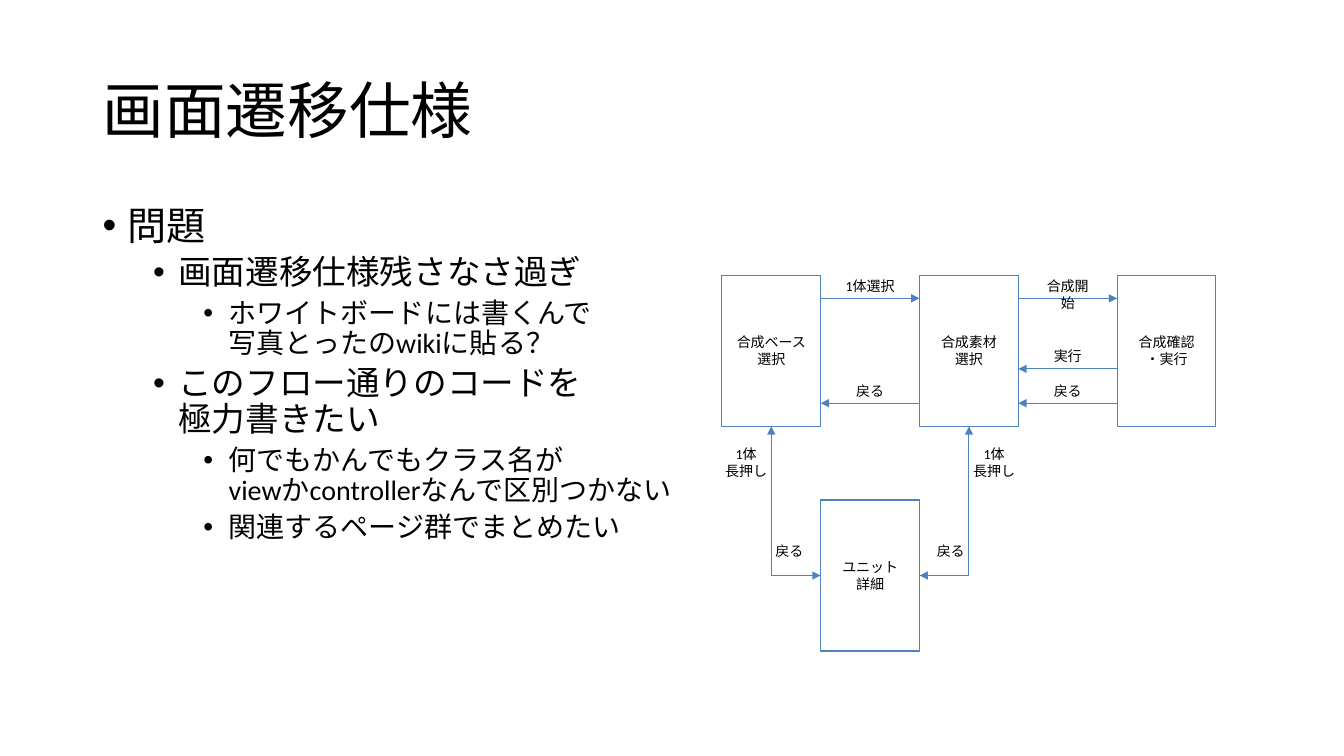
from dataclasses import dataclass

from lxml import etree
from pptx import Presentation
from pptx.dml.color import RGBColor
from pptx.enum.shapes import MSO_CONNECTOR, MSO_SHAPE
from pptx.enum.text import MSO_ANCHOR, PP_ALIGN
from pptx.oxml.ns import qn
from pptx.util import Inches, Pt

RECTANGLE = MSO_SHAPE.RECTANGLE
STRAIGHT, ELBOW = MSO_CONNECTOR.STRAIGHT, MSO_CONNECTOR.ELBOW
LEFT, CENTER = PP_ALIGN.LEFT, PP_ALIGN.CENTER
TOP, MIDDLE = MSO_ANCHOR.TOP, MSO_ANCHOR.MIDDLE
SITE_LEFT, SITE_BOTTOM, SITE_RIGHT = 1, 2, 3


@dataclass(frozen=True)
class Theme:
    """Colours, font and type sizes of the slide."""
    font: str = "Calibri"
    text: RGBColor = RGBColor(0, 0, 0)
    paper: RGBColor = RGBColor(255, 255, 255)
    accent: RGBColor = RGBColor(0x4F, 0x81, 0xBD)
    title_size: int = 44
    level_sizes: tuple = (28, 24, 20)
    diagram_size: int = 10
    box_line: float = 0.85
    arrow_line: float = 0.75


THEME = Theme()

TITLE = "画面遷移仕様"
BULLETS = [  # level, text
    (0, "問題"),
    (1, "画面遷移仕様残さなさ過ぎ"),
    (2, "ホワイトボードには書くんで\v写真とったのwikiに貼る？"),
    (1, "このフロー通りのコードを\v極力書きたい"),
    (2, "何でもかんでもクラス名が\vviewかcontrollerなんで区別つかない"),
    (2, "関連するページ群でまとめたい"),
]
SCREENS = {  # name: (column, row, lines)
    "base": (0, 0, ["合成ベース", "選択"]),
    "material": (1, 0, ["合成素材", "選択"]),
    "unit": (0.5, 1, ["ユニット", "詳細"]),
    "confirm": (2, 0, ["合成確認", "・実行"]),
}
TRANSITIONS = [  # from column, to column, height of arrow, label, label wraps
    (0, 1, 2.96, "1体選択", True),
    (1, 0, 4.0, "戻る", False),
    (1, 2, 2.96, "合成開始", False),
    (2, 1, 3.66, "実行", False),
    (2, 1, 4.0, "戻る", False),
]
DETAIL_LINKS = [  # screen, side of the unit screen, direction towards it
    ("base", SITE_LEFT, 1),
    ("material", SITE_RIGHT, -1),
]
LONG_PRESS, BACK = ["1体", "長押し"], ["戻る"]

SCREEN_W, SCREEN_H = 0.98, 1.5
FLOW_LEFT, COLUMN_STEP = 7.16, 2 * SCREEN_W
FLOW_TOP, ROW_STEP = 2.73, 2.23
LABEL_W, LABEL_H, LABEL_INSET = 0.57, 0.25, 0.04
LONG_PRESS_TOP, LONG_PRESS_OFFSET = 4.38, 0.25
BACK_TOP, BACK_OFFSET = 5.34, 0.18


def column_x(column):
    """Return the left edge of a screen column in inches."""
    return FLOW_LEFT + column * COLUMN_STEP


def write_text(shape, lines, size=THEME.diagram_size, align=CENTER,
               anchor=TOP, inset=LABEL_INSET, wrap=True):
    """Write one paragraph per line and return the paragraphs."""
    frame = shape.text_frame
    frame.word_wrap = wrap
    frame.vertical_anchor = anchor
    if inset is not None:
        frame.margin_left = frame.margin_right = Inches(inset)
        frame.margin_top = frame.margin_bottom = Inches(inset)
    frame.text = "\n".join(lines)
    for paragraph in frame.paragraphs:
        paragraph.alignment = align
        style_runs(paragraph, size)
    return frame.paragraphs


def style_runs(paragraph, size):
    """Set font, size and colour of every run in a paragraph."""
    for run in paragraph.runs:
        run.font.name = THEME.font
        run.font.size = Pt(size)
        run.font.color.rgb = THEME.text


def add_text_box(slide, left, top, width, height, lines, **text_format):
    """Add a text box and return its paragraphs."""
    box = slide.shapes.add_textbox(
        Inches(left), Inches(top), Inches(width), Inches(height))
    return write_text(box, lines, **text_format)


def add_bullet(paragraph, level):
    """Give a paragraph the bullet, indent, spacing and size of its level."""
    paragraph.level = level
    paragraph.line_spacing = 0.9
    paragraph.space_before = Pt(5 if level else 10)
    style_runs(paragraph, THEME.level_sizes[level])
    properties = paragraph._p.get_or_add_pPr()
    properties.set("marL", str(Inches(0.25 + 0.5 * level)))
    properties.set("indent", str(Inches(-0.25)))
    etree.SubElement(properties, qn("a:buFont")).set("typeface", "Arial")
    etree.SubElement(properties, qn("a:buChar")).set("char", "•")


def add_screen(slide, column, row, lines):
    """Add one screen of the flow and return its shape."""
    shape = slide.shapes.add_shape(
        RECTANGLE, Inches(column_x(column)), Inches(FLOW_TOP + row * ROW_STEP),
        Inches(SCREEN_W), Inches(SCREEN_H))
    shape.shadow.inherit = False
    shape.fill.solid()
    shape.fill.fore_color.rgb = THEME.paper
    shape.line.color.rgb = THEME.accent
    shape.line.width = Pt(THEME.box_line)
    write_text(shape, lines, anchor=MIDDLE)
    return shape


def add_arrow(slide, kind, begin, end, heads=("tailEnd",)):
    """Add a connector with triangle heads and return it."""
    arrow = slide.shapes.add_connector(
        kind, *(Inches(value) for value in (*begin, *end)))
    arrow.line.color.rgb = THEME.accent
    arrow.line.width = Pt(THEME.arrow_line)
    line = arrow.line._get_or_add_ln()
    for head in heads:
        etree.SubElement(line, qn(f"a:{head}")).set("type", "triangle")
    etree.SubElement(arrow._element.spPr, qn("a:effectLst"))
    return arrow


def add_label(slide, center, top, lines, wrap=False):
    """Add a label centred on a horizontal position."""
    add_text_box(slide, center - LABEL_W / 2, top, LABEL_W,
                 LABEL_H * len(lines), lines, wrap=wrap)


def add_transition(slide, start, finish, height, label, wrap):
    """Add a labelled straight arrow between neighbouring columns."""
    left, right = column_x(min(start, finish)) + SCREEN_W, column_x(max(start, finish))
    ends = (left, right) if start < finish else (right, left)
    add_arrow(slide, STRAIGHT, *((x, height) for x in ends))
    add_label(slide, (left + right) / 2, height - LABEL_H, [label], wrap)


def add_detail_link(slide, screens, name, side, direction):
    """Add a two-way elbow between a screen and the unit screen."""
    x = column_x(SCREENS[name][0]) + SCREEN_W / 2
    unit_x = x + direction * SCREEN_W / 2
    unit_y = FLOW_TOP + ROW_STEP + SCREEN_H / 2
    elbow = add_arrow(slide, ELBOW, (unit_x, unit_y), (x, FLOW_TOP + SCREEN_H),
                      heads=("headEnd", "tailEnd"))
    elbow.begin_connect(screens["unit"], side)
    elbow.end_connect(screens[name], SITE_BOTTOM)
    elbow._element.spPr.find(qn("a:prstGeom")).set("prst", "bentConnector2")
    add_label(slide, x - direction * LONG_PRESS_OFFSET, LONG_PRESS_TOP, LONG_PRESS)
    add_label(slide, x + direction * BACK_OFFSET, BACK_TOP, BACK)


def main():
    """Build and save the slide."""
    presentation = Presentation()
    presentation.slide_width, presentation.slide_height = Inches(13.33), Inches(7.5)
    slide = presentation.slides.add_slide(presentation.slide_layouts[6])

    title = add_text_box(slide, 0.92, 0.4, 11.5, 1.45, [TITLE], align=LEFT,
                         size=THEME.title_size, anchor=MIDDLE, inset=None)
    title[0].line_spacing = 0.9
    paragraphs = add_text_box(slide, 0.92, 2, 11.5, 4.76,
                              [text for _, text in BULLETS], align=LEFT, inset=None)
    for paragraph, (level, _) in zip(paragraphs, BULLETS):
        add_bullet(paragraph, level)

    screens = {name: add_screen(slide, *screen) for name, screen in SCREENS.items()}
    for transition in TRANSITIONS:
        add_transition(slide, *transition)
    for link in DETAIL_LINKS:
        add_detail_link(slide, screens, *link)
    presentation.save("out.pptx")


main()
